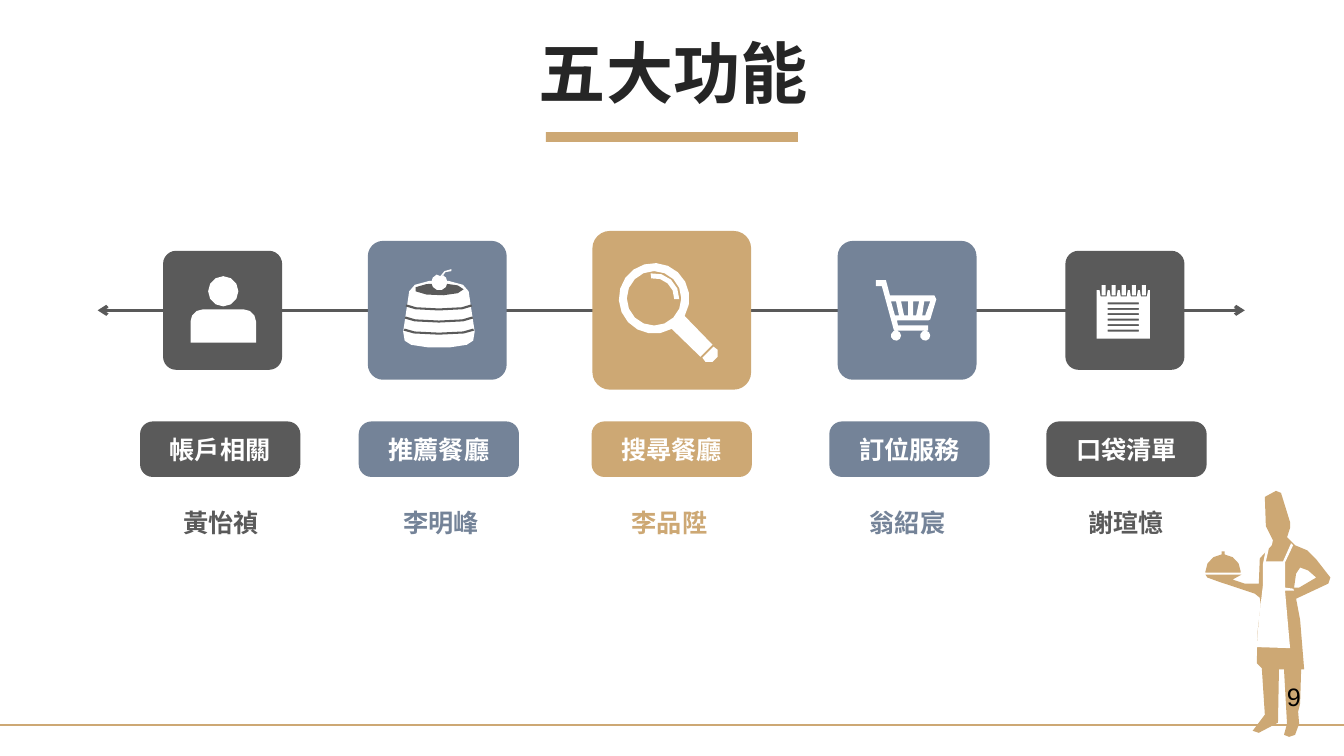
from math import cos, radians, sin

from lxml import etree
from pptx import Presentation
from pptx.dml.color import RGBColor
from pptx.enum.shapes import MSO_CONNECTOR, MSO_SHAPE
from pptx.enum.text import MSO_ANCHOR, PP_ALIGN
from pptx.oxml.ns import qn
from pptx.util import Cm, Pt

RECTANGLE = MSO_SHAPE.RECTANGLE
ROUNDED = MSO_SHAPE.ROUNDED_RECTANGLE
STRAIGHT = MSO_CONNECTOR.STRAIGHT
CENTER, LEFT = PP_ALIGN.CENTER, PP_ALIGN.LEFT
MIDDLE, TOP = MSO_ANCHOR.MIDDLE, MSO_ANCHOR.TOP

GOLD, GREY, BLUE, WHITE = "CDA874", "5A5A5A", "748398", "FFFFFF"
CJK_FONT = "Noto Sans CJK SC"
OUTLINE_UNIT = Cm(0.0254)  # outline points are in hundredths of an inch
AXIS_Y = 7.82

# card centre, card size, label left, name left (cm), colour, label, name
FEATURES = [
    (5.61, 3.0, 3.53, 4.37, GREY, "帳戶相關", "黃怡禎"),
    (11.02, 3.5, 9.04, 9.91, BLUE, "推薦餐廳", "李明峰"),
    (16.93, 4.0, 14.91, 15.67, GOLD, "搜尋餐廳", "李品陞"),
    (22.86, 3.5, 20.9, 21.67, BLUE, "訂位服務", "翁紹宸"),
    (28.35, 3.0, 26.37, 27.18, GREY, "口袋清單", "謝瑄憶"),
]

CHEF_BODY = [
    (1196, 570), (1232, 570), (1223, 575), (1235, 579), (1249, 579), (1250, 554),
    (1262, 541), (1263, 536), (1256, 522), (1255, 493), (1266, 487), (1271, 489),
    (1280, 518), (1280, 524), (1277, 533), (1285, 541), (1297, 546), (1306, 555),
    (1320, 573), (1318, 579), (1286, 594), (1290, 615), (1294, 664), (1291, 664),
    (1290, 698), (1288, 706), (1289, 718), (1285, 729), (1279, 731), (1274, 729),
    (1277, 718), (1274, 664), (1269, 664), (1268, 717), (1249, 727), (1243, 725),
    (1255, 709), (1252, 663), (1247, 658), (1248, 625), (1251, 600), (1250, 593),
    (1245, 589), (1209, 577), (1198, 573),
]
CHEF_ARM_GAP = [(1284, 583), (1289, 583), (1306, 573), (1298, 566), (1290, 563),
                (1286, 569)]
CHEF_APRON = [
    (1281, 539), (1273, 557), (1256, 557), (1259, 544), (1256, 545), (1253, 560),
    (1253, 581), (1249, 615), (1247, 642), (1280, 643), (1275, 586), (1284, 586),
    (1283, 584), (1275, 583), (1275, 558), (1283, 541),
]


def rgb(colour):
    return RGBColor.from_string(colour)


def arc(x, y, radius_x, radius_y, start=0, end=360):
    """Points along an arc, fewer where the arc is short or small."""
    steps = max(2, round(abs(end - start) / 360 * (7 + radius_y / 3)))
    angles = [radians(start + (end - start) * i / steps) for i in range(steps + 1)]
    return [(x + radius_x * cos(a), y + radius_y * sin(a)) for a in angles]


def paint(shape, colour):
    shape.shadow.inherit = False
    shape.fill.solid()
    shape.fill.fore_color.rgb = rgb(colour)
    shape.line.fill.background()


def add_box(slide, kind, left, top, width, height, colour, corner=None):
    shape = slide.shapes.add_shape(kind, Cm(left), Cm(top), Cm(width), Cm(height))
    paint(shape, colour)
    if corner is not None:
        shape.adjustments[0] = corner
    return shape


def add_outline(slide, contours, colour):
    scaled = [[(round(x * OUTLINE_UNIT), round(y * OUTLINE_UNIT)) for x, y in contour]
              for contour in contours]
    builder = slide.shapes.build_freeform(*scaled[0][0], scale=1.0)
    for number, contour in enumerate(scaled):
        if number:
            builder.move_to(*contour[0])
        builder.add_line_segments(contour[1:], close=True)
    paint(builder.convert_to_shape(), colour)


def write(shape, text, colour, size=18, name=CJK_FONT, bold=True,
          align=CENTER, anchor=MIDDLE, wrap=True):
    frame = shape.text_frame
    frame.word_wrap = wrap
    frame.vertical_anchor = anchor
    paragraph = frame.paragraphs[0]
    paragraph.alignment = align
    run = paragraph.add_run()
    run.text = text
    for attribute, value in {"size": Pt(size), "name": name, "bold": bold}.items():
        setattr(run.font, attribute, value)
    run.font.color.rgb = rgb(colour)
    etree.SubElement(run.font._element, qn("a:ea"), typeface=name)
    return paragraph


def add_text(slide, left, top, width, text, colour, **formats):
    box = slide.shapes.add_textbox(Cm(left), Cm(top), Cm(width), Cm(1.02))
    write(box, text, colour, align=LEFT, anchor=TOP, wrap=False, **formats)


def add_line(slide, left, right, y, colour, width, arrows=False):
    line = slide.shapes.add_connector(STRAIGHT, Cm(left), Cm(y), Cm(right), Cm(y))
    line.line.color.rgb = rgb(colour)
    line.line.width = Pt(width)
    if arrows:
        for end in ("a:headEnd", "a:tailEnd"):
            etree.SubElement(line.line._ln, qn(end), type="arrow")
    etree.SubElement(line._element.spPr, qn("a:effectLst"))


def add_title(slide, text):
    title = slide.shapes.title
    place = {"left": 0.89, "top": 0.94, "width": 32.16, "height": 2.01}
    for attribute, value in place.items():
        setattr(title, attribute, Cm(value))
    paragraph = write(title, text, "262626", size=48)
    paragraph.line_spacing = 0.9
    paragraph.space_before = Pt(10)


def add_chef(slide):
    add_outline(slide, [CHEF_BODY, CHEF_ARM_GAP], GOLD)
    add_outline(slide, [CHEF_APRON], WHITE)
    dome = arc(1213.5, 567, 17.5, 17, 180, 265) + [(1212, 547), (1215, 547)]
    dome += arc(1213.5, 567, 17.5, 17, 275, 360)
    add_outline(slide, [dome + [(1231, 568), (1196, 568)]], GOLD)


def add_person(slide):
    body = arc(201, 319, 12, 12, 180, 270) + arc(242, 319, 12, 12, 270, 360)
    add_outline(slide, [arc(221.5, 289, 15, 15), body + [(254, 340), (189, 340)]], WHITE)


def add_cake(slide):
    body = arc(435.5, 289, 29.5, 11, 180, 360) + [(471, 329)]
    body += arc(435.5, 338, 34, 7, 0, 180) + [(400, 329)]
    add_outline(slide, [body], WHITE)
    layers = [arc(435.5, y, half, 4, 180, 0) + arc(435.5, y + 2, half + 1, 4, 0, 180)
              for y, half in ((326, 34), (314, 33), (302, 32))]
    add_outline(slide, layers + [arc(435.5, 287, 24.5, 6)], GREY)
    stem = [(437, 274), (441, 269), (448, 267), (448, 269), (442, 270), (439, 274)]
    add_outline(slide, [arc(436, 280, 8, 8, -70, 250) + stem], WHITE)


def add_magnifier(slide):
    x, y = 649, 296
    rim = arc(x, y, 35, 35, 60, 390) + [(707, 342), (695, 354)]
    shine = arc(x, y, 25, 25, -98, 2) + arc(x, y, 20, 20, 2, -98)
    tip = [(708, 344), (712, 347), (712, 354), (707, 359), (700, 359), (697, 355)]
    add_outline(slide, [rim, arc(x, y, 27, 27), shine, tip], WHITE)


def add_cart(slide):
    frame = [(869, 278), (879, 278), (883, 293), (927, 293), (929, 297), (923, 317),
             (921, 318), (890, 318), (891, 323), (921, 323), (921, 328), (887, 328),
             (875, 284), (869, 284)]
    slots = [[(a, 299), (b, 313), (c, 313), (d, 299)] for a, b, c, d in (
        (884, 888, 892, 889), (894, 897, 901, 901),
        (906, 906, 909, 912), (917, 915, 918, 923))]
    wheels = [arc(x, 333, 5, 5) for x in (889, 918)]
    add_outline(slide, [frame] + slots + wheels, WHITE)


def add_notepad(slide):
    page, rings = [(1088, 288)], []
    for x in range(1095, 1136, 10):
        page += [(x - 4, 288), (x - 3, 294), (x + 3, 294), (x + 4, 288)]
        rings.append([(x - 2, 283), (x + 2, 283), (x + 2, 293), (x - 2, 293)])
    page += [(1141, 288), (1141, 336), (1088, 336)]
    rows = [[(1099, y), (1130, y), (1130, y + 2), (1099, y + 2)]
            for y in (300 + 5.4 * i for i in range(6))]
    add_outline(slide, [page] + rows + rings, WHITE)


def main():
    presentation = Presentation()
    presentation.slide_width, presentation.slide_height = Cm(33.87), Cm(19.05)
    slide = presentation.slides.add_slide(presentation.slide_layouts[5])

    # Frame of the slide
    add_box(slide, RECTANGLE, 13.76, 3.33, 6.35, 0.25, GOLD)
    add_line(slide, 0, 33.87, 18.28, GOLD, 1.5)
    add_chef(slide)
    add_title(slide, "五大功能")

    # Five features along the axis
    add_line(slide, 2.46, 31.37, AXIS_Y, "595959", 2.25, arrows=True)
    icons = (add_person, add_cake, add_magnifier, add_cart, add_notepad)
    for feature, add_icon in zip(FEATURES, icons):
        center, size, label_left, name_left, colour, label, name = feature
        add_box(slide, ROUNDED, center - size / 2, AXIS_Y - size / 2, size, size, colour, 0.11)
        add_icon(slide)
        pill = add_box(slide, ROUNDED, label_left, 10.62, 4.04, 1.4, colour, 0.23)
        write(pill, label, WHITE)
        add_text(slide, name_left, 12.65, 2.44, name, colour)

    # Page number
    add_text(slide, 32.18, 17.04, 0.86, "9", "000000", name="Arial", bold=False)
    presentation.save("out.pptx")


if __name__ == "__main__":
    main()
